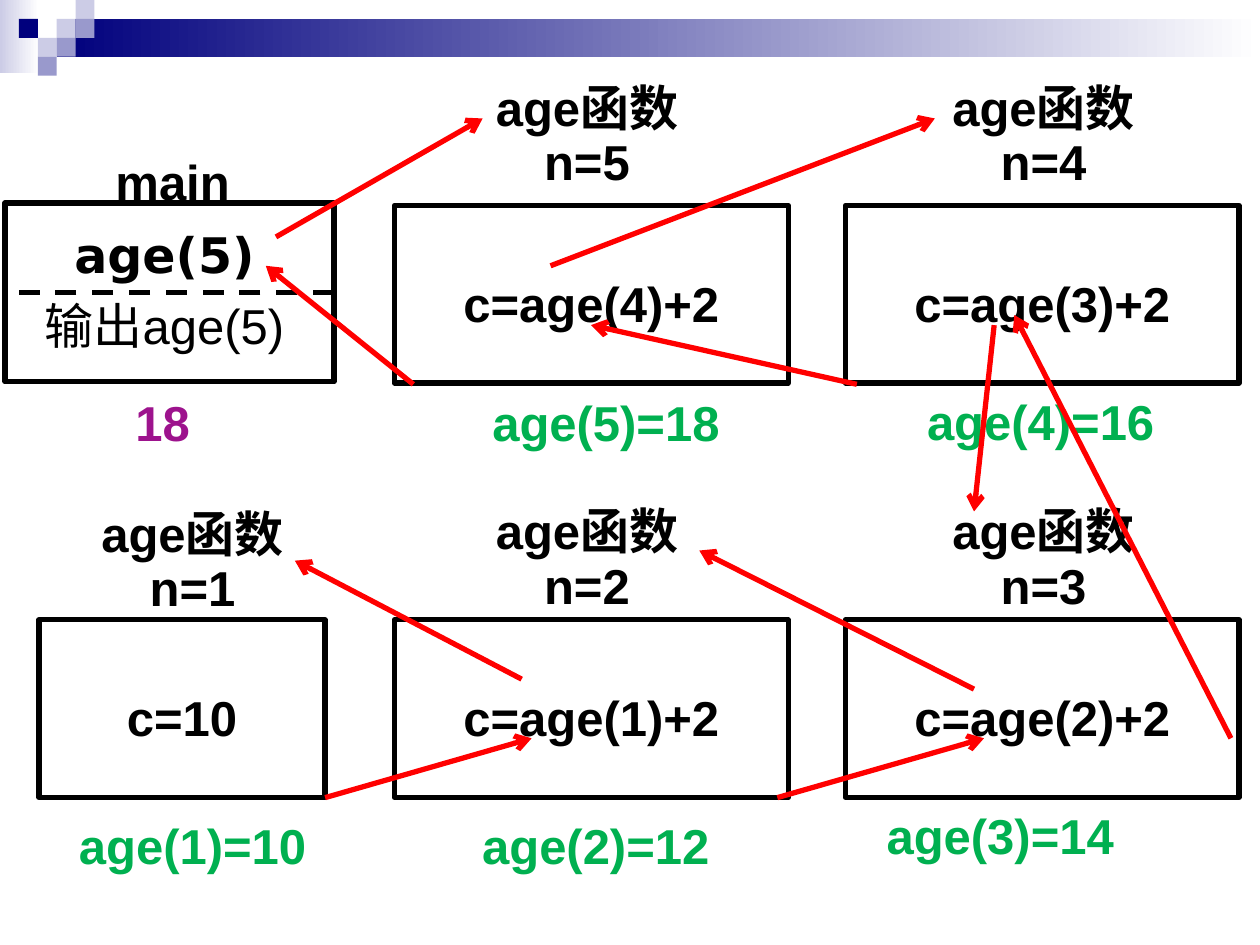
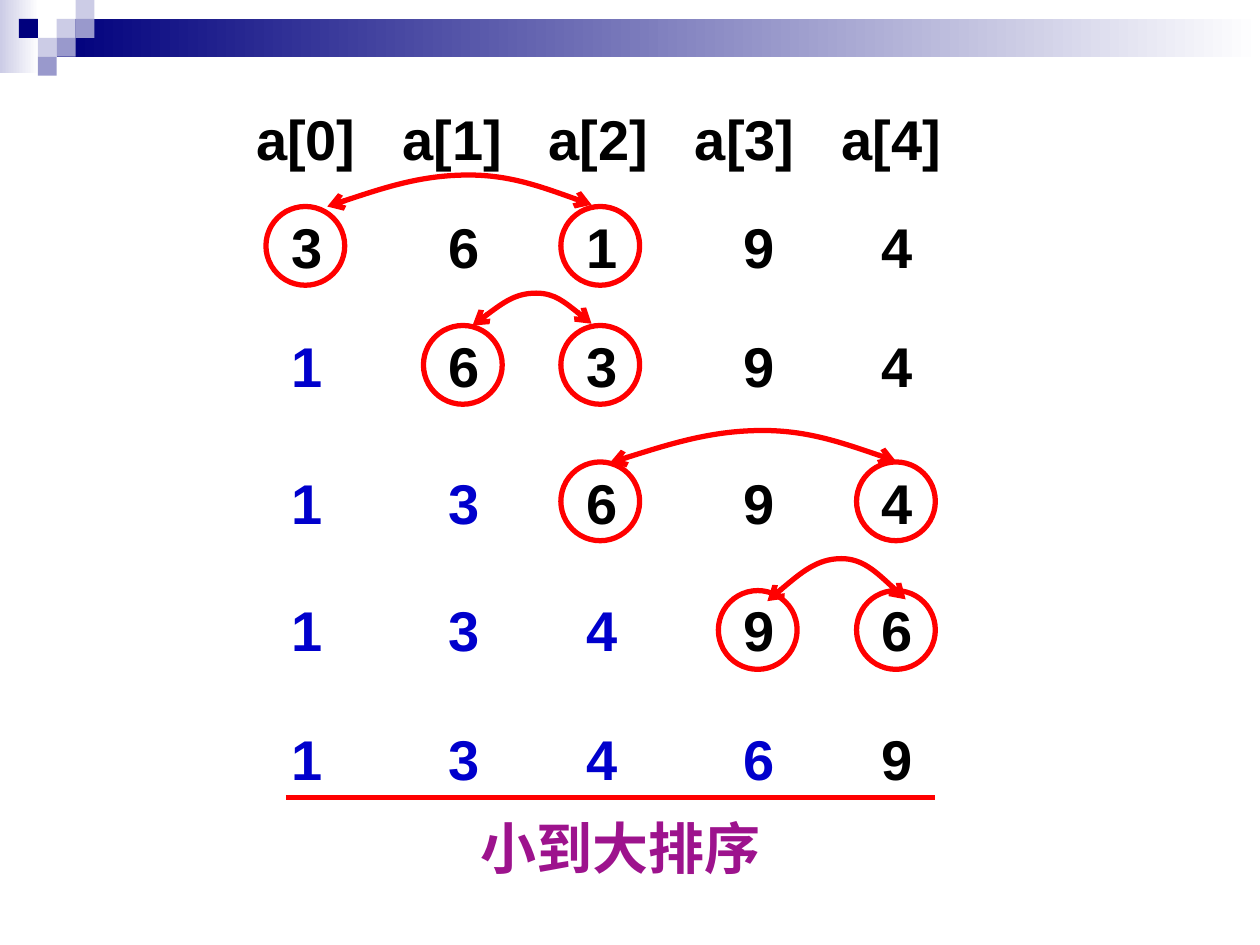
"""Builds two slides: the recursive calls of age(5), and a selection sort."""
import dataclasses

import pptx
import pptx.dml.color
import pptx.enum.dml
import pptx.enum.shapes
import pptx.enum.text
import pptx.oxml
import pptx.oxml.ns
import pptx.util

Pt = pptx.util.Pt
qn = pptx.oxml.ns.qn
rgb = pptx.dml.color.RGBColor.from_string
Shape = pptx.enum.shapes.MSO_SHAPE
STRAIGHT = pptx.enum.shapes.MSO_CONNECTOR.STRAIGHT
Align = pptx.enum.text.PP_ALIGN


@dataclasses.dataclass(frozen=True)
class Theme:
    navy: str = "00007D"
    lilac: str = "9999CC"
    pale: str = "CCCCE6"
    white: str = "FFFFFF"
    black: str = "000000"
    red: str = "FF0000"
    green: str = "00B050"
    purple: str = "9D138D"
    blue: str = "0000CC"
    font: str = "Arial"
    code_font: str = "DejaVu Sans"
    call_size: int = 28
    sort_size: int = 32
    line: int = 3


theme = Theme()


def write(box, *lines, size=theme.call_size, color=theme.black, font=theme.font,
          align=Align.CENTER, spacing=None, side=7.2, top=3.6, tabs=()):
    """Write each line, a string or a list of spans, as one paragraph."""
    frame = box.text_frame
    frame.word_wrap = True
    frame.vertical_anchor = pptx.enum.text.MSO_ANCHOR.TOP
    frame.margin_left = frame.margin_right = Pt(side)
    frame.margin_top, frame.margin_bottom = Pt(top), Pt(3.6)
    for number, line in enumerate(lines):
        para = frame.add_paragraph() if number else frame.paragraphs[0]
        para.alignment = align
        if spacing:
            para.line_spacing = spacing
        if number:
            para.space_before = Pt(7)
        if tabs:
            tab_list = para._p.get_or_add_pPr().makeelement(qn("a:tabLst"), {})
            para._p.get_or_add_pPr().append(tab_list)
            for stop in tabs:
                tab = tab_list.makeelement(qn("a:tab"), {"pos": str(Pt(stop)), "algn": "ctr"})
                tab_list.append(tab)
        for text in [line] if isinstance(line, str) else line:
            span = para.add_run()
            span.text = text
            span.font.size, span.font.name, span.font.bold = Pt(size), font, True
            span.font.color.rgb = rgb(color)


def outline(shape, color, *arrow_ends, dash=None):
    """Draw the line of a shape without a shadow, with arrowheads where named."""
    shape.line.width = Pt(theme.line)
    shape.line.color.rgb = rgb(color)
    if dash:
        shape.line.dash_style = dash
    properties = shape.element.spPr
    line = properties.find(qn("a:ln"))
    for end in arrow_ends:
        line.append(line.makeelement(qn(end), {"type": "arrow"}))
    properties.append(properties.makeelement(qn("a:effectLst"), {}))


deck = pptx.Presentation()
deck.slide_width, deck.slide_height = Pt(720), Pt(540)
blank = deck.slide_layouts[6]
calls_page = deck.slides.add_slide(blank)
sort_page = deck.slides.add_slide(blank)

# The band goes to the master, so both slides share it
tile = 10.8
band = [
    (0, 0, 22.3, 41.8, theme.pale, True),
    (3 * tile, tile, 720 - 3 * tile, 2 * tile, theme.navy, True),
]
for column, row, color in [
    (3, 1, theme.pale), (4, 0, theme.pale), (4, 1, theme.lilac), (2, 2, theme.pale),
    (1, 1, theme.navy), (3, 2, theme.lilac), (2, 3, theme.lilac),
]:
    band.append((column * tile, row * tile, tile, tile, color, False))
for number, (left, top, width, height, color, fades) in enumerate(band):
    block = calls_page.shapes.add_shape(Shape.RECTANGLE, Pt(left), Pt(top), Pt(width), Pt(height))
    block.shadow.inherit = False
    block.line.fill.background()
    if fades:
        block.fill.gradient()
        block.fill.gradient_angle = 0
        for stop, stop_color in zip(block.fill.gradient_stops, (color, theme.white)):
            stop.color.rgb = rgb(stop_color)
    else:
        block.fill.solid()
        block.fill.fore_color.rgb = rgb(color)
    block.element.nvSpPr.cNvPr.set("id", str(100 + number))
    block.name = f"Band {number + 1}"
    deck.slide_master.shapes.element.append(block.element)

shapes = calls_page.shapes
main_box = shapes.add_shape(Shape.RECTANGLE, Pt(2.9), Pt(116), Pt(188), Pt(102.2))
main_box.fill.background()
outline(main_box, theme.black)
main_text = shapes.add_textbox(Pt(0), Pt(122.4), Pt(188), Pt(102.2))
write(main_text, "age(5)", "输出age(5)", font=theme.code_font, side=0, top=6)
output = main_text.text_frame.paragraphs[1].runs[0]
output.font.name, output.font.bold = theme.font, False
main_title = shapes.add_textbox(Pt(39.6), Pt(72), Pt(118), Pt(50.4))
write(main_title, "main", spacing=1.2, top=7.6)
divider = shapes.add_connector(STRAIGHT, Pt(191), Pt(167), Pt(3), Pt(167))
divider.begin_connect(main_box, 3)
divider.end_connect(main_box, 1)
outline(divider, theme.black, dash=pptx.enum.dml.MSO_LINE.DASH)

upper, lower = 117.4, 354.2
calls = [
    (5, (225.4, upper, 225), (225.4, 50.4, 220), (236.2, 230.4)),
    (4, (483.1, upper, 225), (483.8, 50.4, 225), (484.6, 229.7)),
    (3, (483.1, lower, 225), (483.8, 292.3, 225), (461.5, 466.6)),
    (2, (225.4, lower, 225), (225.4, 292.3, 220), (230.4, 472.3)),
    (1, (22.3, lower, 163.4), (0, 293.8, 220), (0, 472.3)),
]
for n, (left, top, width), caption_at, result_at in calls:
    frame_box = shapes.add_shape(Shape.RECTANGLE, Pt(left), Pt(top), Pt(width), Pt(101.5))
    frame_box.fill.background()
    outline(frame_box, theme.black)
    body = f"c=age({n - 1})+2" if n > 1 else "c=10"
    write(frame_box, body, spacing=1.2, top=32)
    left, top, width = caption_at
    caption = shapes.add_textbox(Pt(left), Pt(top), Pt(width), Pt(66))
    write(caption, "age函数", f"n={n}", spacing=Pt(24))
    left, top = result_at
    result = shapes.add_textbox(Pt(left), Pt(top), Pt(220), Pt(45))
    write(result, f"age({n})={8 + 2 * n}", color=theme.green, spacing=Pt(24))
answer = shapes.add_textbox(Pt(28.1), Pt(230.4), Pt(129.6), Pt(34))
write(answer, "18", color=theme.purple, spacing=Pt(24))

for start_x, start_y, end_x, end_y in [
    (157.7, 135.4, 275.8, 67.7), (314.6, 151.9, 534.2, 67.7), (568.1, 185.8, 556.6, 292.3),
    (556.6, 393.8, 399.6, 314.6), (298.1, 388.1, 168.5, 320.4), (185.8, 455.8, 303.8, 421.9),
    (444.2, 455.8, 562.3, 421.9), (703.4, 421.9, 579.6, 180), (489.6, 219.6, 337.7, 185.8),
    (236.2, 219.6, 151.9, 151.9),
]:
    arrow = shapes.add_connector(STRAIGHT, Pt(start_x), Pt(start_y), Pt(end_x), Pt(end_y))
    outline(arrow, theme.red, "a:tailEnd")

shapes = sort_page.shapes
row_left, row_width, row_height, margin = 106.5, 472, 46, 7.2
centres = [174.5, 264.5, 343, 433, 512]
heading = shapes.add_textbox(Pt(row_left), Pt(56.2), Pt(row_width), Pt(row_height))
write(heading, [f"\ta[{i}]" for i in range(5)], size=theme.sort_size, align=Align.LEFT,
      tabs=[61.2 + 83.6 * i for i in range(5)])

values = [3, 6, 1, 9, 4]
row_tops = [118, 186, 264, 336.5, 410.5]
arcs = [(187, 338, 118, 100), (270, 338, 186, 167.5),
        (348.5, 512, 264.5, 246), (438.5, 517.5, 343.5, 319.2)]
for step, top in enumerate(row_tops):
    row_box = shapes.add_textbox(Pt(row_left), Pt(top), Pt(row_width), Pt(row_height))
    write(row_box, [f"\t{value}" for value in values], size=theme.sort_size, align=Align.LEFT,
          tabs=[centre + 1 - row_left - margin for centre in centres])
    for span in row_box.text_frame.paragraphs[0].runs[:step]:
        span.font.color.rgb = rgb(theme.blue)
    if step == len(arcs):
        break

    smallest = values.index(min(values[step:]))
    for column in (step, smallest):
        ring = shapes.add_shape(Shape.OVAL, Pt(centres[column] - 22.5), Pt(top + step // 3),
                                Pt(45), Pt(45))
        ring.fill.background()
        outline(ring, theme.red)
    values[step], values[smallest] = values[smallest], values[step]

    start_x, end_x, start_y, peak_y = arcs[step]
    end_y = start_y - 1
    peak_x = start_x + 0.535 * (end_x - start_x)
    rise, fall = (peak_x - start_x) / 3, (end_x - peak_x) / 3
    controls = [
        (start_x + rise, (start_y + peak_y) / 2), (start_x + 2 * rise, peak_y), (peak_x, peak_y),
        (peak_x + fall, peak_y), (peak_x + 2 * fall, (peak_y + end_y) / 2), (end_x, end_y),
    ]
    builder = shapes.build_freeform(Pt(start_x), Pt(start_y))
    builder.add_line_segments([(Pt(x), Pt(y)) for x, y in controls], close=False)
    swap = builder.convert_to_shape()
    segments = list(swap.element.iter(qn("a:lnTo")))
    for first in (0, 3):
        curve = segments[first].makeelement(qn("a:cubicBezTo"), {})
        segments[first].addprevious(curve)
        for segment in segments[first:first + 3]:
            curve.append(segment[0])
            segment.getparent().remove(segment)
    swap.fill.background()
    outline(swap, theme.red, "a:headEnd", "a:tailEnd")

title = shapes.add_textbox(Pt(213.8), Pt(461.5), Pt(281.5), Pt(row_height))
write(title, "小到大排序", size=theme.sort_size, color=theme.purple)
underline = shapes.add_connector(STRAIGHT, Pt(163.4), Pt(455.8), Pt(534.2), Pt(455.8))
outline(underline, theme.red)

deck.save("out.pptx")
